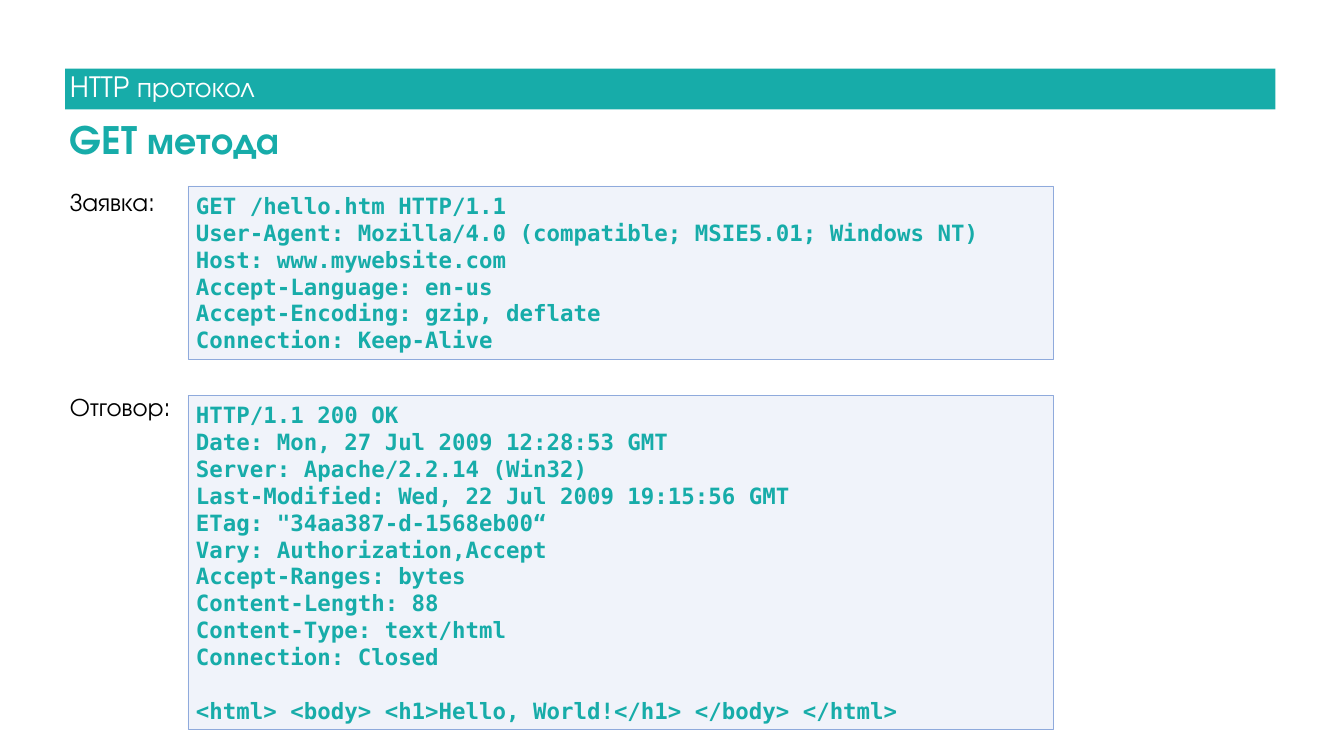
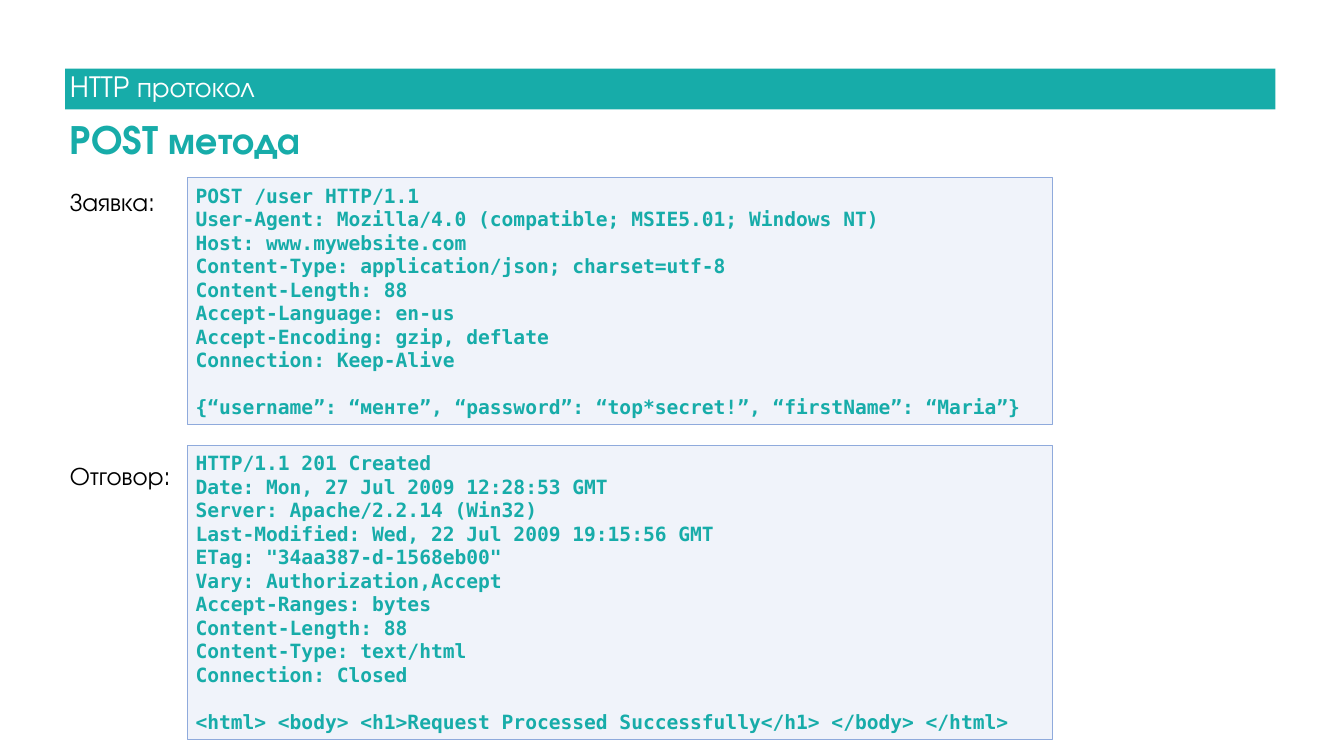
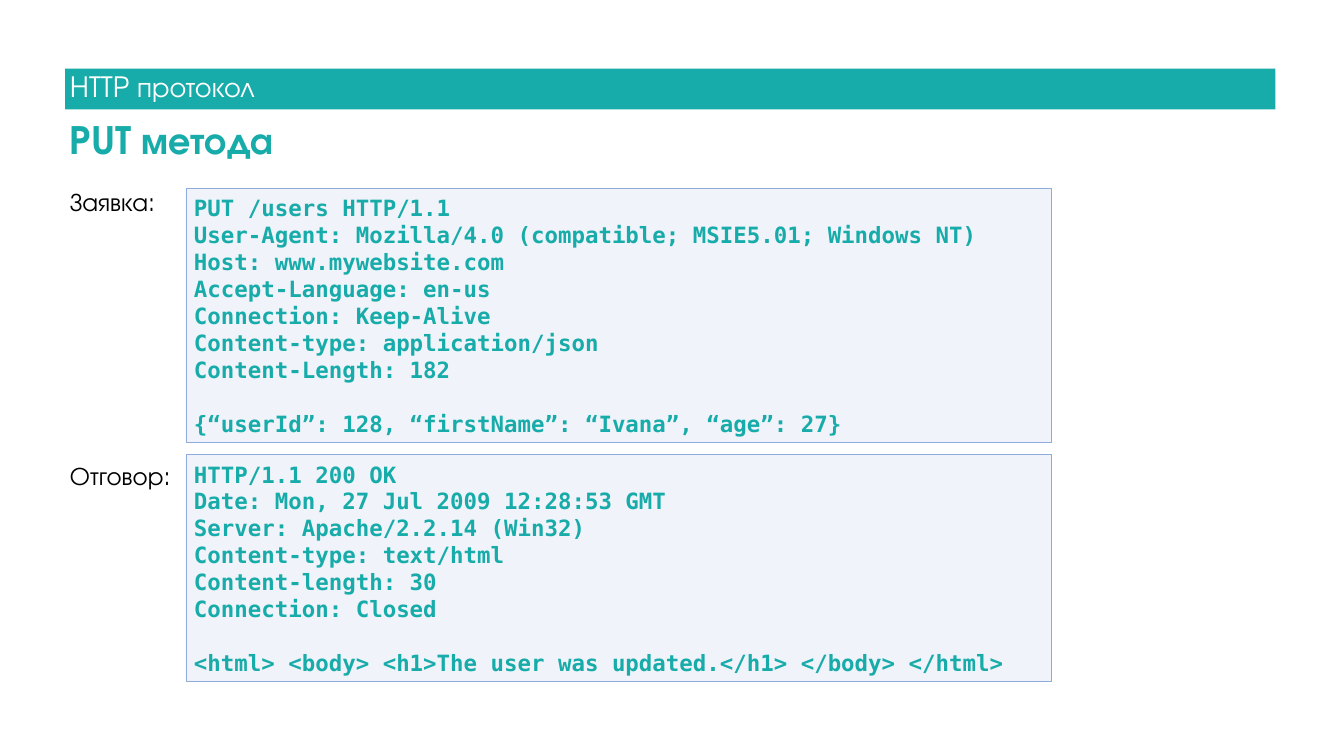
from lxml.etree import SubElement
from pptx import Presentation
from pptx.dml.color import RGBColor
from pptx.enum.shapes import MSO_SHAPE as SHAPE
from pptx.enum.text import MSO_ANCHOR as ANCHOR, PP_ALIGN as ALIGN
from pptx.oxml.ns import qn
from pptx.util import Inches, Pt

COLORS = {"teal": "17ACA9", "white": "FFFFFF", "black": "000000",
          "code_fill": "B4C7E7", "code_line": "8FAADC"}
SANS = "TeX Gyre Adventor"
MONO = "DejaVu Sans Mono"
STYLES = {
    "section": {"name": SANS, "size": Pt(40), "bold": False, "color": "white"},
    "heading": {"name": SANS, "size": Pt(54), "bold": True, "color": "teal"},
    "label": {"name": SANS, "size": Pt(36), "bold": False, "color": "black"},
    "code": {"name": MONO, "bold": True, "color": "teal"},
}
LEFT = 1.29
CODE_WIDTH = 17.17
CODE_LEADING = 1.2
LABEL_STEP = 48.86
LABEL_GAP = 10

USER_AGENT = "User-Agent: Mozilla/4.0 (compatible; MSIE5.01; Windows NT)"
HOST = "Host: www.mywebsite.com"
LANGUAGE = "Accept-Language: en-us"
ENCODING = "Accept-Encoding: gzip, deflate"
KEEP_ALIVE = "Connection: Keep-Alive"
LENGTH = "Content-Length: 88"
CLOSED = "Connection: Closed"
SERVER = ["Date: Mon, 27 Jul 2009 12:28:53 GMT", "Server: Apache/2.2.14 (Win32)"]
MODIFIED = "Last-Modified: Wed, 22 Jul 2009 19:15:56 GMT"
ENTITY = ["Vary: Authorization,Accept", "Accept-Ranges: bytes", LENGTH,
          "Content-Type: text/html", CLOSED]

METHODS = [
    {
        "heading": "GET метода", "label_lines": 5, "left": 3.73, "size": 32,
        "request": (3.69, ["GET /hello.htm HTTP/1.1", USER_AGENT, HOST,
                           LANGUAGE, ENCODING, KEEP_ALIVE], None),
        "response": (7.84, ["HTTP/1.1 200 OK", *SERVER, MODIFIED,
                            'ETag: "34aa387-d-1568eb00“', *ENTITY],
                     "<html> <body> <h1>Hello, World!</h1> </body> </html>"),
    },
    {
        "heading": "POST метода", "label_lines": 7, "left": 3.72, "size": 28,
        "request": (3.52, ["POST /user HTTP/1.1", USER_AGENT, HOST,
                           "Content-Type: application/json; charset=utf-8",
                           LENGTH, LANGUAGE, ENCODING, KEEP_ALIVE],
                    "{“username”: “менте”, “password”: “top*secret!”, “firstName”: “Maria”}"),
        "response": (8.83, ["HTTP/1.1 201 Created", *SERVER, MODIFIED,
                            'ETag: "34aa387-d-1568eb00"', *ENTITY],
                     "<html> <body> <h1>Request Processed Successfully</h1> </body> </html>"),
    },
    {
        "heading": "PUT метода", "label_lines": 7, "left": 3.69, "size": 32,
        "request": (3.74, ["PUT /users HTTP/1.1", USER_AGENT, HOST, LANGUAGE,
                           KEEP_ALIVE, "Content-type: application/json",
                           "Content-Length: 182"],
                    "{“userId”: 128, “firstName”: “Ivana”, “age”: 27}"),
        "response": (9.02, ["HTTP/1.1 200 OK", *SERVER, "Content-type: text/html",
                            "Content-length: 30", CLOSED],
                     "<html> <body> <h1>The user was updated.</h1> </body> </html>"),
    },
]


def rgb(name):
    return RGBColor.from_string(COLORS[name])


class Deck:
    def __init__(self):
        self.prs = Presentation()
        self.prs.slide_width = Inches(26.67)
        self.prs.slide_height = Inches(15)
        self.s = None

    def slide(self):
        self.s = self.prs.slides.add_slide(self.prs.slide_layouts[6])

    def rect(self, box, fill):
        sp = self.s.shapes.add_shape(SHAPE.RECTANGLE, *map(Inches, box))
        sp.shadow.inherit = False
        sp.fill.solid()
        sp.fill.fore_color.rgb = rgb(fill)
        sp.line.fill.background()
        return sp

    def frame(self, sp, anchor=ANCHOR.TOP, inset=(0.1, 0.05)):
        tf = sp.text_frame
        x, y = map(Inches, inset)
        values = {"word_wrap": True, "vertical_anchor": anchor, "margin_left": x,
                  "margin_right": x, "margin_top": y, "margin_bottom": y}
        for key, value in values.items():
            setattr(tf, key, value)
        return tf

    def paragraphs(self, tf, lines, style, spacing=0.9, **extra):
        for i, line in enumerate(lines):
            p = tf.paragraphs[0] if i == 0 else tf.add_paragraph()
            p.alignment = ALIGN.LEFT
            p.line_spacing = spacing
            p.space_before = Pt(0)
            r = p.add_run()
            r.text = line
            for key, value in {**STYLES[style], **extra}.items():
                if key == "color":
                    r.font.color.rgb = rgb(value)
                else:
                    setattr(r.font, key, value)

    def text(self, box, lines, style, anchor=ANCHOR.TOP):
        sp = self.s.shapes.add_textbox(*map(Inches, box))
        tf = self.frame(sp, anchor)
        self.paragraphs(tf, lines, style)
        return tf

    def header(self, section, heading):
        self.rect((LEFT, 1.36, 24.02, 0.81), "teal")
        self.text((LEFT, 1.36, 24.02, 0.79), [section], "section", ANCHOR.MIDDLE)
        self.text((LEFT, 2.36, 23.98, 0.94), [heading], "heading")

    def labels(self, lines_between):
        tf = self.text((LEFT, 3.72, 23.23, 7.05), ["Заявка:", "Отговор:"], "label")
        tf.paragraphs[1].space_before = Pt(lines_between * LABEL_STEP + LABEL_GAP)

    def code(self, left, size, top, lines, payload):
        leading = size * CODE_LEADING
        rows = len(lines) + (2 if payload else 0)
        height = rows * leading / 72 + 0.24
        sp = self.rect((left, top, CODE_WIDTH, height), "code_fill")
        clr = sp.element.spPr.find(qn("a:solidFill"))[0]
        SubElement(clr, qn("a:alpha"), val="20000")
        sp.line.color.rgb = rgb("code_line")
        sp.line.width = Pt(1)
        tf = self.frame(sp, inset=(0.16, 0.12))
        body = lines + [payload] if payload else lines
        self.paragraphs(tf, body, "code", Pt(leading), size=Pt(size))
        if payload:
            tf.paragraphs[-1].space_before = Pt(leading)


def main():
    deck = Deck()
    for method in METHODS:
        deck.slide()
        deck.header("HTTP протокол", method["heading"])
        deck.labels(method["label_lines"])
        for part in ("request", "response"):
            deck.code(method["left"], method["size"], *method[part])
    deck.prs.save("out.pptx")


if __name__ == "__main__":
    main()
